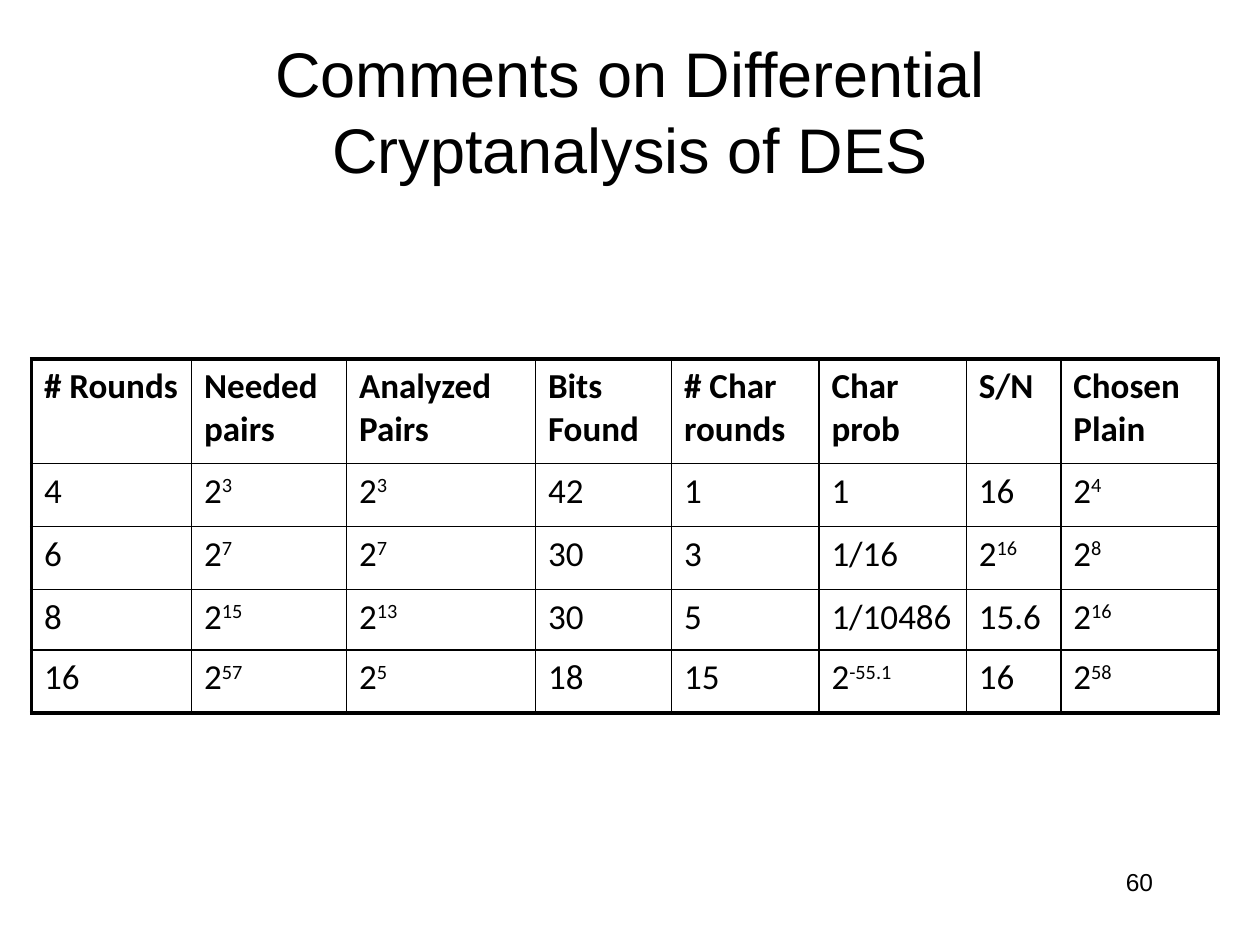
from lxml import etree
from pptx import Presentation
from pptx import util as u
from pptx.dml.color import RGBColor
from pptx.enum import text
from pptx.oxml.ns import qn

BLACK = RGBColor(0x00, 0x00, 0x00)

COL_WIDTHS = [1.27, 1.23, 1.5, 1.08, 1.17, 1.17, 0.75, 1.25]
ROW_HEIGHTS = [0.83, 0.5, 0.5, 0.48, 0.5]
# "^" separates a base from its exponent.
ROWS = [
    ["# Rounds", "Needed pairs", "Analyzed Pairs", "Bits Found",
     "# Char rounds", "Char prob", "S/N", "Chosen Plain"],
    ["4", "2^3", "2^3", "42", "1", "1", "16", "2^4"],
    ["6", "2^7", "2^7", "30", "3", "1/16", "2^16", "2^8"],
    ["8", "2^15", "2^13", "30", "5", "1/10486", "15.6", "2^16"],
    ["16", "2^57", "2^5", "18", "15", "2^-55.1", "16", "2^58"],
]


def write(tf, content, size, font="Arial", bold=False,
          align=text.PP_ALIGN.LEFT, color=BLACK):
    """Fill a text frame; the part after "^" becomes superscript."""
    p = tf.paragraphs[0]
    p.alignment = align
    for i, part in enumerate(content.split("^")):
        r = p.add_run()
        r.text = part
        r.font.size = u.Pt(size)
        r.font.name = font
        r.font.bold = bold
        r.font.color.rgb = color
        if i:
            r.font._element.set("baseline", "30000")


def set_borders(cell, widths, color=BLACK):
    """Draw left, right, top and bottom borders with the given point widths."""
    tc_pr = cell._tc.get_or_add_tcPr()
    for i, (side, width) in enumerate(zip("LRTB", widths)):
        ln = etree.Element(qn(f"a:ln{side}"), w=str(u.Pt(width)))
        fill = etree.SubElement(ln, qn("a:solidFill"))
        etree.SubElement(fill, qn("a:srgbClr"), val=str(color))
        tc_pr.insert(i, ln)


class SlideBuilder:
    inner, outer = 1, 2.25

    def __init__(self, prs):
        self.s = prs.slides.add_slide(prs.slide_layouts[5])

    def title(self, content, left, top, width, height):
        sp = self.s.shapes.title
        sp.left, sp.top = u.Inches(left), u.Inches(top)
        sp.width, sp.height = u.Inches(width), u.Inches(height)
        tf = sp.text_frame
        tf.auto_size = text.MSO_AUTO_SIZE.NONE
        tf.vertical_anchor = text.MSO_ANCHOR.MIDDLE
        write(tf, content, 36, align=text.PP_ALIGN.CENTER)

    def text_box(self, content, left, top, width, height, **fmt):
        sp = self.s.shapes.add_textbox(u.Inches(left), u.Inches(top),
                                       u.Inches(width), u.Inches(height))
        sp.text_frame.word_wrap = True
        write(sp.text_frame, content, **fmt)

    def table(self, rows, col_widths, row_heights, left, top):
        n_rows, n_cols = len(rows), len(col_widths)
        table = self.s.shapes.add_table(
            n_rows, n_cols, u.Inches(left), u.Inches(top),
            u.Inches(sum(col_widths)), u.Inches(sum(row_heights))).table
        table.first_row = table.horz_banding = False
        for col, width in zip(table.columns, col_widths):
            col.width = u.Inches(width)
        for row, height in zip(table.rows, row_heights):
            row.height = u.Inches(height)
        for i, row in enumerate(rows):
            for j, content in enumerate(row):
                cell = table.cell(i, j)
                cell.fill.background()
                write(cell.text_frame, content, 20, font="Calibri", bold=i == 0)
                edges = (j == 0, j == n_cols - 1, i == 0, i == n_rows - 1)
                set_borders(cell, [self.outer if e else self.inner for e in edges])


def main():
    prs = Presentation()
    prs.slide_width, prs.slide_height = u.Inches(10), u.Inches(7.5)
    slide = SlideBuilder(prs)
    slide.text_box("60", 7.17, 6.83, 2.08, 0.5, size=14, align=text.PP_ALIGN.RIGHT)
    slide.title("Comments on Differential Cryptanalysis of DES", 0.75, 0.25, 8.5, 1.25)
    slide.table(ROWS, COL_WIDTHS, ROW_HEIGHTS, 0.25, 2.85)
    prs.save("out.pptx")


if __name__ == "__main__":
    main()
